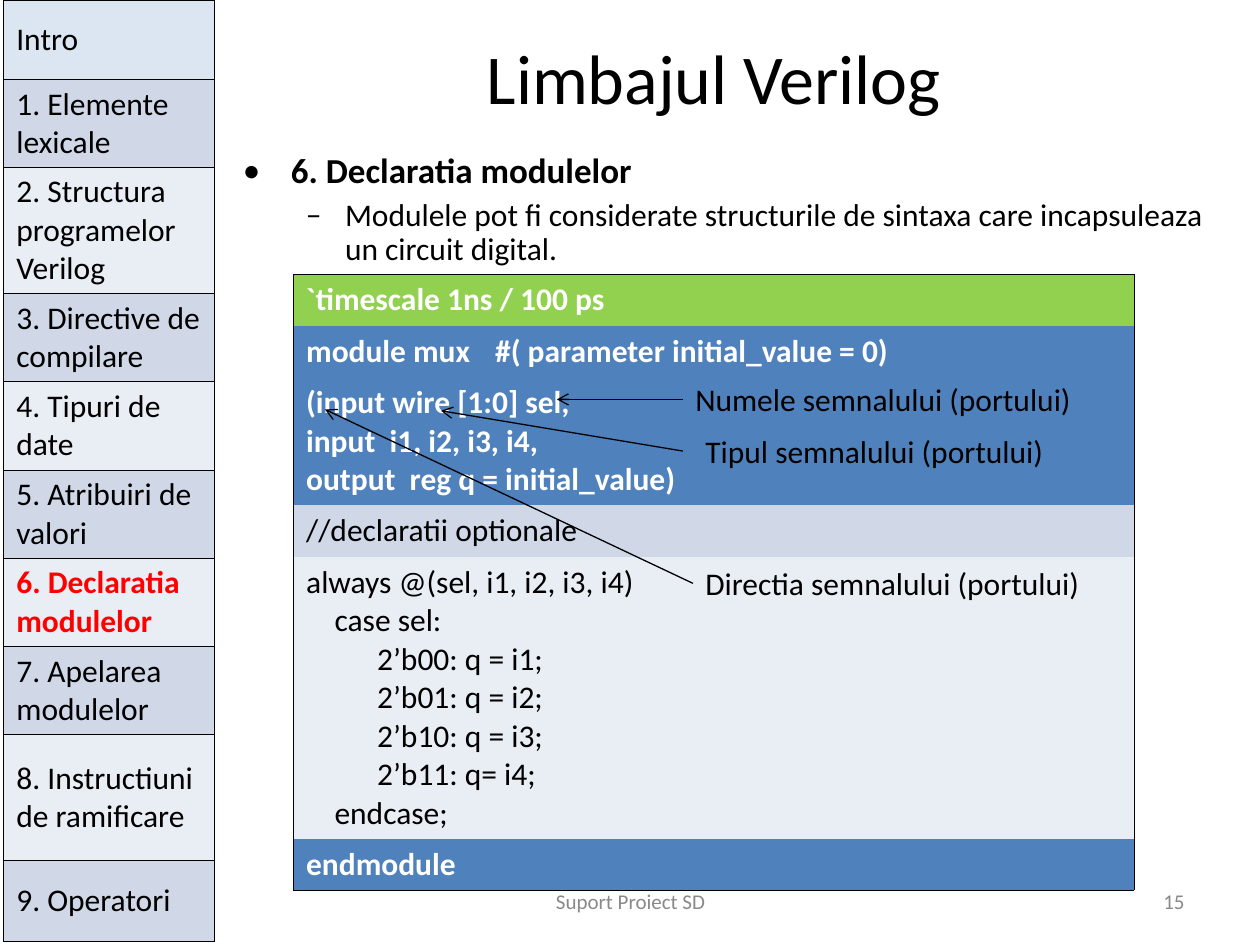
from lxml import etree
from pptx import Presentation
from pptx.dml.color import RGBColor
from pptx.enum.shapes import MSO_CONNECTOR as Conn
from pptx.enum.text import MSO_ANCHOR as Anchor, MSO_AUTO_SIZE as Auto, PP_ALIGN as Align
from pptx.oxml import parse_xml
from pptx.oxml.ns import nsdecls, qn
from pptx.util import Inches, Pt

NO_GRID = "{2D5ABB26-0587-4C30-8999-92F81FD0307C}"


def style(frame, size, color="000000", bold=False, align=None):
    """Format every run of a text frame."""
    for para in frame.paragraphs:
        para.alignment = align
        for run in para.runs:
            run.font.name = "Calibri"
            run.font.size = Pt(size)
            run.font.bold = bold
            run.font.color.rgb = RGBColor.from_string(color)


def paint(cell, fill, sides):
    """Fill a cell and draw thin black borders on the given sides (L, R, T, B)."""
    props = cell._tc.get_or_add_tcPr()
    for side in "LRTB":
        if side in sides:
            props.append(parse_xml(
                f'<a:ln{side} {nsdecls("a")} w="5715"><a:solidFill>'
                f'<a:srgbClr val="000000"/></a:solidFill></a:ln{side}>'))
    cell.fill.solid()
    cell.fill.fore_color.rgb = RGBColor.from_string(fill)


prs = Presentation()
prs.slide_width, prs.slide_height = Inches(10), Inches(7.5)
slide = prs.slides.add_slide(prs.slide_layouts[5])
shapes = slide.shapes

title = shapes.title
title.left, title.top = Inches(1.83), Inches(0.3)
title.width, title.height = Inches(7.67), Inches(0.62)
title.text_frame.text = "Limbajul Verilog"
title.text_frame.vertical_anchor = Anchor.MIDDLE
style(title.text_frame, 40, align=Align.CENTER)

# Code listing and chapter menu
white, black, red = "FFFFFF", "000000", "FF0000"
blue, green, dark, light = "4F81BD", "92D050", "D0D8E8", "E9EDF4"
ports = "(input wire [1:0] sel,\ninput  i1, i2, i3, i4,\noutput  reg q = initial_value)"
always = """always @(sel, i1, i2, i3, i4)
    case sel:
          2’b00: q = i1;
          2’b01: q = i2;
          2’b10: q = i3;
          2’b11: q= i4;
    endcase;"""
code = [
    (0.41, ["`timescale 1ns / 100 ps"], green, white),
    (0.4, ["module mux", "#( parameter initial_value = 0)"], blue, white),
    (1, [ports], blue, white),
    (0.41, ["//declaratii optionale"], dark, black),
    (2.2, [always], light, black),
    (0.4, ["endmodule"], blue, white),
]
menu = [
    (0.63, ["Intro"], "DCE6F2", black),
    (0.7, ["1. Elemente lexicale"], dark, black),
    (1, ["2. Structura programelor Verilog"], light, black),
    (0.7, ["3. Directive de compilare"], dark, black),
    (0.7, ["4. Tipuri de date"], light, black),
    (0.7, ["5. Atribuiri de valori"], dark, black),
    (0.7, ["6. Declaratia modulelor"], light, red),
    (0.7, ["7. Apelarea modulelor"], dark, black),
    (1, ["8. Instructiuni de ramificare"], light, black),
    (0.64, ["9. Operatori"], dark, black),
]
tables = [
    (2.33, 2.18, [1.5, 5.17], code, Anchor.TOP, False, 0.05),
    (0.03, 0, [1.67], menu, Anchor.MIDDLE, True, 0.04),
]
for left, top, cols, rows, anchor, grid, pad in tables:
    high = sum(row[0] for row in rows)
    table = shapes.add_table(len(rows), len(cols), Inches(left), Inches(top),
                             Inches(sum(cols)), Inches(high)).table
    table._tbl.tblPr.find(qn("a:tableStyleId")).text = NO_GRID
    table.first_row = table.horz_banding = False
    for col, wide in zip(table.columns, cols):
        col.width = Inches(wide)
    for r, (high, texts, fill, color) in enumerate(rows):
        table.rows[r].height = Inches(high)
        if len(texts) < len(cols):
            table.cell(r, 0).merge(table.cell(r, len(cols) - 1))
        for c in range(len(cols)):
            sides = "L" if c == 0 else ""
            sides += "R" if c + len(cols) - len(texts) >= len(cols) - 1 else ""
            sides += "T" if grid or r == 0 else ""
            sides += "B" if grid or r == len(rows) - 1 else ""
            cell = table.cell(r, c)
            paint(cell, fill, sides)
            cell.margin_top = cell.margin_bottom = Inches(pad)
            cell.margin_right = Inches(0.05)
            if c < len(texts):
                cell.text_frame.text = texts[c]
                cell.vertical_anchor = anchor
                style(cell.text_frame, 18, color, bold=color != black)

# Bulleted text
body = shapes.add_textbox(Inches(1.83), Inches(1.17), Inches(8.08), Inches(1.08)).text_frame
body.word_wrap = True
body.text = ("6. Declaratia modulelor\nModulele pot fi considerate structurile de sintaxa "
             "care incapsuleaza un circuit digital.")
bullets = [("•", 0.38, 0.38, 0), ("–", 0.81, 0.31, 4.5)]
for level, (para, (mark, indent, hang, space)) in enumerate(zip(body.paragraphs, bullets)):
    para.level = level
    para.line_spacing = 0.9
    para.space_before = Pt(space)
    props = para._p.get_or_add_pPr()
    props.set("marL", str(Inches(indent)))
    props.set("indent", str(-Inches(hang)))
    etree.SubElement(props, qn("a:buFont")).set("typeface", "Calibri")
    etree.SubElement(props, qn("a:buChar")).set("char", mark)
style(body, 18)
head = body.paragraphs[0].runs[0].font
head.size, head.bold = Pt(20), True

# Footer and page number
for text, left, wide, align in [("Suport Proiect SD", 3.42, 3.17, Align.CENTER),
                                ("15", 7.17, 2.33, Align.RIGHT)]:
    frame = shapes.add_textbox(Inches(left), Inches(6.95), Inches(wide), Inches(0.4)).text_frame
    frame.word_wrap = True
    frame.vertical_anchor = Anchor.MIDDLE
    frame.text = text
    style(frame, 12, "898989", align=align)

# Port labels, each with an arrow into the code
labels = [
    ("Directia semnalului (portului)", 5.5, 4.43, 3.2, 5.5, (2.58, 3.25)),
    ("Tipul semnalului (portului)", 5.5, 3.38, 3.33, 5.42, (3.5, 3.26)),
    ("Numele semnalului (portului)", 5.42, 2.97, 4, 5.42, (4.42, 3.17)),
]
for text, left, top, wide, start, (x, y) in labels:
    box = shapes.add_textbox(Inches(left), Inches(top), Inches(wide), Inches(0.4))
    box.text_frame.word_wrap = True
    box.text_frame.auto_size = Auto.SHAPE_TO_FIT_TEXT
    box.text_frame.text = text
    style(box.text_frame, 18)
    arrow = shapes.add_connector(Conn.STRAIGHT, Inches(start), Inches(top + 0.2),
                                 Inches(x), Inches(y))
    if start == left:
        arrow.begin_connect(box, 1)
    arrow.line.width = Pt(0.75)
    arrow.line.color.rgb = RGBColor.from_string(black)
    etree.SubElement(arrow.line._get_or_add_ln(), qn("a:tailEnd")).set("type", "arrow")
    etree.SubElement(arrow._element.spPr, qn("a:effectLst"))

prs.save("out.pptx")
